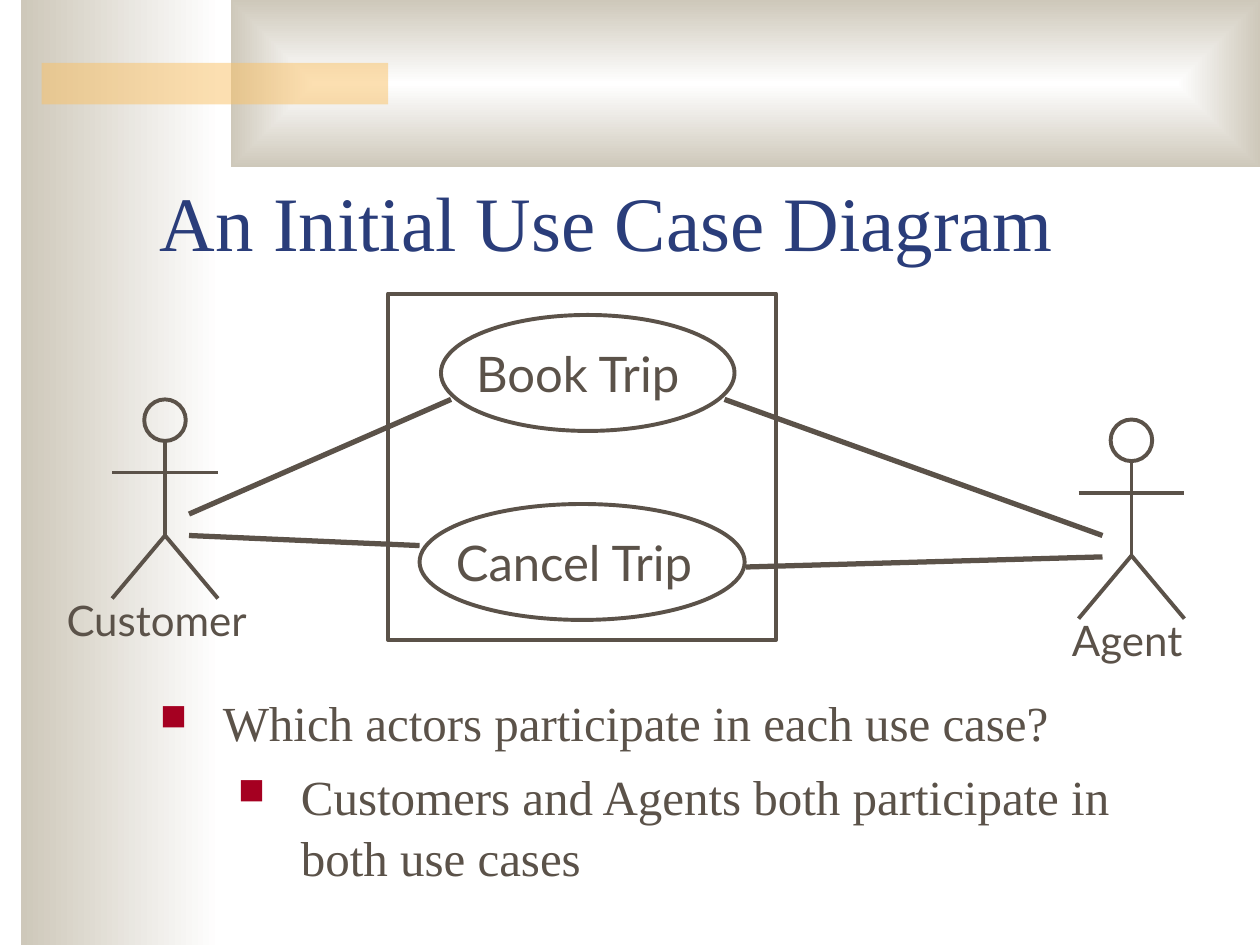
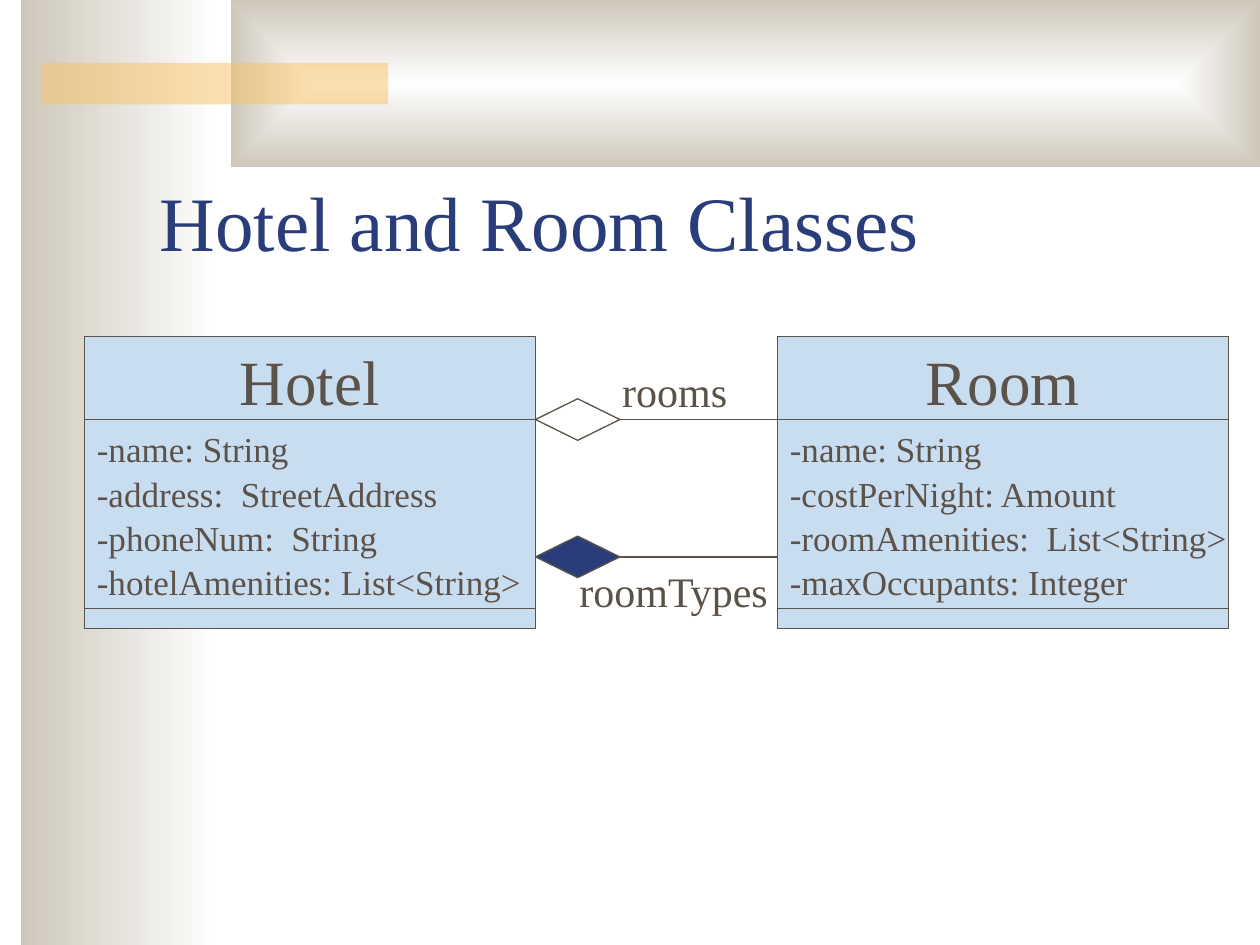
from pptx import Presentation
from pptx.dml.color import RGBColor
from pptx.enum.shapes import MSO_CONNECTOR, MSO_SHAPE
from pptx.enum.text import MSO_ANCHOR, PP_ALIGN
from pptx.oxml.ns import qn
from pptx.oxml.xmlchemy import OxmlElement
from pptx.util import Inches, Pt

STRAIGHT = MSO_CONNECTOR.STRAIGHT
RECTANGLE, ELLIPSE, DIAMOND = MSO_SHAPE.RECTANGLE, MSO_SHAPE.OVAL, MSO_SHAPE.DIAMOND
MIDDLE, BOTTOM = MSO_ANCHOR.MIDDLE, MSO_ANCHOR.BOTTOM
LEFT, CENTER = PP_ALIGN.LEFT, PP_ALIGN.CENTER

WHITE = RGBColor(0xFF, 0xFF, 0xFF)
STONE = RGBColor(0xCE, 0xC8, 0xBA)
AMBER = RGBColor(0xFA, 0xC1, 0x64)
NAVY = RGBColor(0x2A, 0x3D, 0x7A)
BROWN = RGBColor(0x5B, 0x52, 0x49)
PALE_BLUE = RGBColor(0xC9, 0xDD, 0xF1)
BULLET_RED = "A50021"
SERIF, SANS = "Times New Roman", "Lato"
LINE_SPACING = {SERIF: 1.05, SANS: 1.0}

# Slide 1: places are (left, top, width, height), line ends are (x, y)
USE_CASE_TITLE = "An Initial Use Case Diagram"
SYSTEM_BOUNDARY = (3.08, 2.33, 3.08, 2.75)
ACTORS = [  # name, centre x, top, label left, label width
    ("Customer", 1.31, 3.17, 0.43, 1.73),
    ("Agent", 8.98, 3.33, 8.41, 1.13),
]
USE_CASES = [  # name, ellipse, label left, label width
    ("Book Trip", (3.5, 2.5, 2.33, 0.92), 3.68, 1.94),
    ("Cancel Trip", (3.33, 4, 2.58, 0.92), 3.52, 2.22),
]
PARTICIPATIONS = [
    ((1.5, 4.08), (3.58, 3.17)),
    ((1.5, 4.25), (3.33, 4.33)),
    ((5.75, 3.17), (8.75, 4.25)),
    ((5.92, 4.5), (8.75, 4.42)),
]
QUESTION = [  # text, left margin
    ("Which actors participate in each use case?", 0.5),
    ("Customers and Agents both participate in both use cases", 1.12),
]

# Slide 2
CLASS_TITLE = "Hotel and Room Classes"
CLASS_WIDTH, CLASS_TOP = 3.58, 2.67
CLASSES = [  # name, left, attributes
    ("Hotel", 0.67, ["-name: String", "-address:  StreetAddress",
                     "-phoneNum:  String", "-hotelAmenities: List<String>"]),
    ("Room", 6.17, ["-name: String", "-costPerNight: Amount",
                    "-roomAmenities:  List<String>", "-maxOccupants: Integer"]),
]
ASSOCIATIONS = [  # role, line y, diamond fill, label place
    ("rooms", 3.33, None, (4.84, 2.83, 1.03, 0.5)),
    ("roomTypes", 4.42, NAVY, (4.5, 4.42, 1.72, 0.5)),
]
HOTEL_EDGE, ROOM_EDGE = 4.25, 6.17
DIAMOND_WIDTH, DIAMOND_HEIGHT = 0.67, 0.33


def add_figure(slide, kind, place, fill=None, line_width=None):
    shape = slide.shapes.add_shape(kind, *map(Inches, place))
    shape.shadow.inherit = False
    if fill is None:
        shape.fill.background()
    else:
        shape.fill.solid()
        shape.fill.fore_color.rgb = fill
    if line_width is None:
        shape.line.fill.background()
    else:
        shape.line.color.rgb = BROWN
        shape.line.width = Pt(line_width)
    return shape


def add_line(slide, start, end, width):
    line = slide.shapes.add_connector(STRAIGHT, *map(Inches, (*start, *end)))
    line.line.color.rgb = BROWN
    line.line.width = Pt(width)
    line._element.spPr.append(OxmlElement("a:effectLst"))


def write(shape, lines, size, font=SERIF, color=BROWN, align=LEFT, wrap=False):
    frame = shape.text_frame
    frame.word_wrap = wrap
    frame.text = "\n".join(lines)
    for para in frame.paragraphs:
        para.alignment = align
        para.line_spacing = LINE_SPACING[font]
        for span in para.runs:
            span.font.size = Pt(size)
            span.font.name = font
            span.font.color.rgb = color
    return frame


def add_text(slide, place, lines, size, **style):
    box = slide.shapes.add_textbox(*map(Inches, place))
    return write(box, lines, size, **style)


def shade(shape, from_centre=False):
    """Fade from white to stone, leftwards or from the centre outwards."""
    shape.fill.gradient()
    shape.fill.gradient_angle = 180
    for stop, color, position in zip(shape.fill.gradient_stops, (WHITE, STONE), (0, 1)):
        stop.color.rgb = color
        stop.position = position
    if from_centre:
        gradient = shape._element.spPr.find(qn("a:gradFill"))
        gradient.remove(gradient.find(qn("a:lin")))
        spread = OxmlElement("a:path")
        spread.set("path", "rect")
        centre = OxmlElement("a:fillToRect")
        for side in "ltrb":
            centre.set(side, "50000")
        spread.append(centre)
        gradient.append(spread)


def add_page(deck, title):
    """Add a slide with the shared bands and title."""
    page = deck.slides.add_slide(deck.slide_layouts[6])
    shade(add_figure(page, RECTANGLE, (0.17, 0, 1.58, 7.5)))
    shade(add_figure(page, RECTANGLE, (1.83, 0, 8.17, 1.33)), from_centre=True)
    accent = add_figure(page, RECTANGLE, (0.33, 0.5, 2.75, 0.33), AMBER)
    alpha = OxmlElement("a:alpha")
    alpha.set("val", "50000")
    accent._element.spPr.find(qn("a:solidFill"))[0].append(alpha)
    frame = add_text(page, (1.17, 0.92, 8.5, 1.25), [title], 44, color=NAVY, wrap=True)
    frame.vertical_anchor = BOTTOM
    return page


def add_actor(page, name, x, top, label_left, label_width):
    head, reach = 0.33, 0.42
    arms, hips, feet = top + 0.58, top + 1.08, top + 1.58
    add_figure(page, ELLIPSE, (x - head / 2, top, head, head), line_width=2.25)
    for start, end in [
        ((x, top + head), (x, hips)),
        ((x - reach, arms), (x + reach, arms)),
        ((x - reach, feet), (x, hips)),
        ((x + reach, feet), (x, hips)),
    ]:
        add_line(page, start, end, 2.25)
    add_text(page, (label_left, top + 1.5, label_width, 0.5), [name], 24, font=SANS)


def add_bullet(para, margin):
    properties = para._p.get_or_add_pPr()
    properties.set("marL", str(Inches(margin)))
    properties.set("indent", str(Inches(-0.5)))
    para.space_before = Pt(7)
    color = OxmlElement("a:buClr")
    value = OxmlElement("a:srgbClr")
    value.set("val", BULLET_RED)
    color.append(value)
    size = OxmlElement("a:buSzPct")
    size.set("val", "75000")
    mark = OxmlElement("a:buChar")
    mark.set("char", "■")
    properties.extend([color, size, mark])


def add_use_case_page(deck):
    page = add_page(deck, USE_CASE_TITLE)
    add_figure(page, RECTANGLE, SYSTEM_BOUNDARY, line_width=2.25)
    for actor in ACTORS:
        add_actor(page, *actor)
    for name, ellipse, label_left, label_width in USE_CASES:
        add_figure(page, ELLIPSE, ellipse, line_width=2.25)
        label = (label_left, ellipse[1] + 0.18, label_width, 0.57)
        add_text(page, label, [name], 28, font=SANS)
    for start, end in PARTICIPATIONS:
        add_line(page, start, end, 3)
    frame = add_text(page, (1.17, 5.42, 8.5, 1.38),
                     [text for text, _ in QUESTION], 28, wrap=True)
    for level, (para, (_, margin)) in enumerate(zip(frame.paragraphs, QUESTION)):
        para.level = level
        add_bullet(para, margin)


def add_class_page(deck):
    page = add_page(deck, CLASS_TITLE)
    for name, left, attributes in CLASSES:
        top = CLASS_TOP
        for lines, height, size, align in [
            ([name], 0.66, 36, CENTER),
            (attributes, 1.5, 20, LEFT),
            ([], 0.16, 20, LEFT),
        ]:
            part = add_figure(page, RECTANGLE, (left, top, CLASS_WIDTH, height),
                              PALE_BLUE, 0.75)
            if lines:
                write(part, lines, size, align=align).vertical_anchor = MIDDLE
            top += height
    for role, y, fill, label in ASSOCIATIONS:
        diamond = (HOTEL_EDGE, y - DIAMOND_HEIGHT / 2, DIAMOND_WIDTH, DIAMOND_HEIGHT)
        add_figure(page, DIAMOND, diamond, fill, 0.75)
        add_line(page, (ROOM_EDGE, y), (HOTEL_EDGE + DIAMOND_WIDTH, y), 0.75)
        add_text(page, label, [role], 24)


def main():
    deck = Presentation()
    deck.slide_width, deck.slide_height = Inches(10), Inches(7.5)
    add_use_case_page(deck)
    add_class_page(deck)
    deck.save("out.pptx")


if __name__ == "__main__":
    main()
